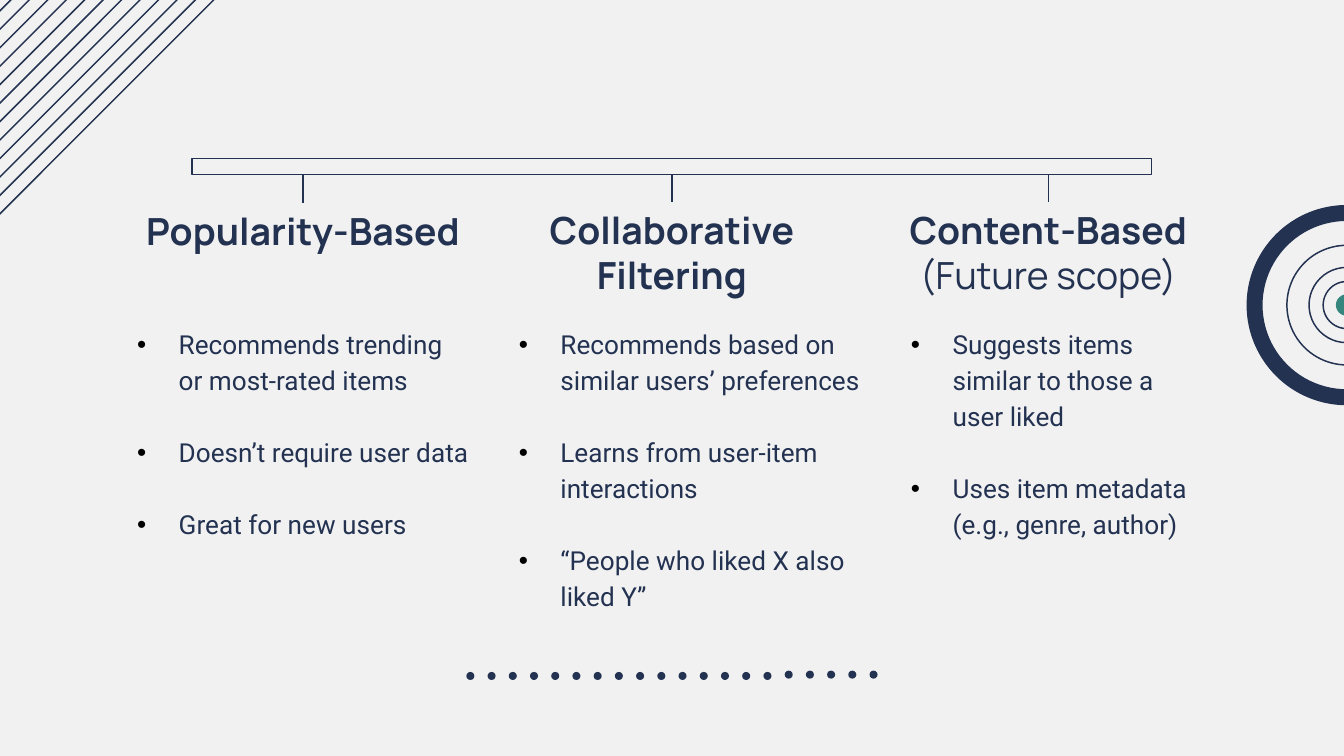
"""Build a slide that compares three kinds of recommender."""
from lxml.etree import SubElement as Sub
from pptx import Presentation as Deck
from pptx.dml.color import RGBColor as Rgb
from pptx.enum.shapes import MSO_CONNECTOR as Link, MSO_SHAPE as Form
from pptx.enum.text import MSO_ANCHOR as Anchor, MSO_AUTO_SIZE as Fit, PP_ALIGN as Align
from pptx.oxml.ns import qn
from pptx.util import Inches, Pt

HUES = {"navy": "233251", "teal": "36867D", "paper": "F1F1F1", "black": "000000"}
HEAD = {"name": "Manrope", "size": Pt(20)}
ITEM = {"name": "Roboto", "size": Pt(14), "bold": False}
PADS = ("margin_left", "margin_top", "margin_right", "margin_bottom")
COLS = [
    {"head": (0.76, 1.51, 2.99, 0.47), "list": (0.92, 2.31, 2.68, 1.79),
     "name": [("Popularity-Based", True)],
     "items": ["Recommends trending or most-rated items",
               "Doesn’t require user data", "Great for new users"]},
    {"head": (3.83, 1.5, 2.34, 0.81), "list": (3.76, 2.31, 2.82, 2.55),
     "name": [("Collaborative Filtering", True)],
     "items": ["Recommends based on similar users’ preferences",
               "Learns from user-item interactions",
               "“People who liked X also liked Y”"]},
    {"head": (6.58, 1.5, 2.44, 0.81), "list": (6.68, 2.31, 2.34, 1.8),
     "name": [("Content-Based", True), (" (Future scope)", False)],
     "items": ["Suggests items similar to those a user liked",
               "Uses item metadata (e.g., genre, author)"]},
]


def tint(name):
    return Rgb.from_string(HUES[name])


def apply(target, values):
    for key, value in values.items():
        setattr(target, key, value)


def add_run(para, text, style):
    run = para.add_run()
    run.text = text
    apply(run.font, style)
    run.font.color.rgb = tint("navy")


def set_box(box, area, anchor):
    apply(box, dict(zip(("left", "top", "width", "height"), map(Inches, area))))
    frame = box.text_frame
    apply(frame, {"word_wrap": True, "auto_size": Fit.NONE, "vertical_anchor": anchor})
    apply(frame, dict.fromkeys(PADS, Inches(0.1)))
    return frame


def add_bullet(para):
    props = para._p.get_or_add_pPr()
    props.set("marL", str(Inches(0.31)))
    props.set("indent", str(-Inches(0.31)))
    color = Sub(props, qn("a:buClr"))
    Sub(color, qn("a:srgbClr"), val=HUES["black"])
    Sub(props, qn("a:buFont"), typeface="Arial")
    Sub(props, qn("a:buChar"), char="•")


def fill_head(box, col):
    para = set_box(box, col["head"], Anchor.BOTTOM).paragraphs[0]
    apply(para, {"alignment": Align.CENTER, "space_before": Pt(0), "line_spacing": 1.0})
    for text, bold in col["name"]:
        add_run(para, text, {**HEAD, "bold": bold})


def fill_list(box, col):
    frame = set_box(box, col["list"], Anchor.TOP)
    for i, text in enumerate(col["items"]):
        para = frame.add_paragraph() if i else frame.paragraphs[0]
        add_bullet(para)
        apply(para, {"alignment": Align.LEFT, "line_spacing": 1.15,
                     "space_before": Pt(19.3 if i else 0)})
        add_run(para, text, ITEM)


def add_form(slide, form, area, fill=None, line=None):
    shape = slide.shapes.add_shape(form, *map(Inches, area))
    shape.shadow.inherit = False
    if fill:
        shape.fill.solid()
        shape.fill.fore_color.rgb = tint(fill)
    else:
        shape.fill.background()
    if line:
        shape.line.color.rgb = tint("navy")
        shape.line.width = Pt(line)
    else:
        shape.line.fill.background()
    return shape


def add_disc(slide, size, form=Form.OVAL, **paint):
    area = (10.02 - size / 2, 2.27 - size / 2, size, size)
    return add_form(slide, form, area, **paint)


def add_line(slide, ends, width):
    line = slide.shapes.add_connector(Link.STRAIGHT, *map(Inches, ends))
    line.line.color.rgb = tint("navy")
    line.line.width = Pt(width)
    Sub(line._element.spPr, qn("a:effectLst"))
    return line


def add_decor(slide):
    for i in range(12):
        left = -0.04 - i * 1.51 / 11
        add_line(slide, (left, 1.63, left + 2.18, -0.55), 0.78)
    for i in range(20):
        top = 5 if i < 15 else 4.99
        add_form(slide, Form.OVAL, (3.47 + i * 3 / 19, top, 0.06, 0.06), fill="navy")
    for size in (0.89, 0.56, 0.35):
        add_disc(slide, size, line=0.78)
    add_disc(slide, 0.16, fill="teal")
    rim = add_disc(slide, 1.49, Form.DONUT, fill="navy")
    rim.adjustments[0] = 0.08


def add_tree(slide, heads):
    bar = add_form(slide, Form.RECTANGLE, (1.43, 1.18, 7.14, 0.12), line=0.75)
    for i, head in enumerate(heads):
        mid = (head.left + head.width / 2) / Inches(1)
        stem = add_line(slide, (mid, 1.3, mid, 1.5), 0.75)
        stem.end_connect(head, 0)
        if i == 1:
            stem.begin_connect(bar, 2)


def main():
    deck = Deck()
    wide = Inches(10)
    apply(deck, {"slide_width": wide, "slide_height": wide * 9 // 16})
    slide = deck.slides.add_slide(deck.slide_layouts[4])
    slide.background.fill.solid()
    slide.background.fill.fore_color.rgb = tint("paper")
    add_decor(slide)
    slots = {slot.placeholder_format.idx: slot for slot in slide.placeholders}
    heads = [slots[i] for i in (0, 1, 3)]
    extra = slide.shapes.add_textbox(*map(Inches, COLS[2]["list"]))
    lists = [slots[2], slots[4], extra]
    for col, head, box in zip(COLS, heads, lists):
        fill_head(head, col)
        fill_list(box, col)
    add_tree(slide, heads)
    deck.save("out.pptx")


if __name__ == "__main__":
    main()
